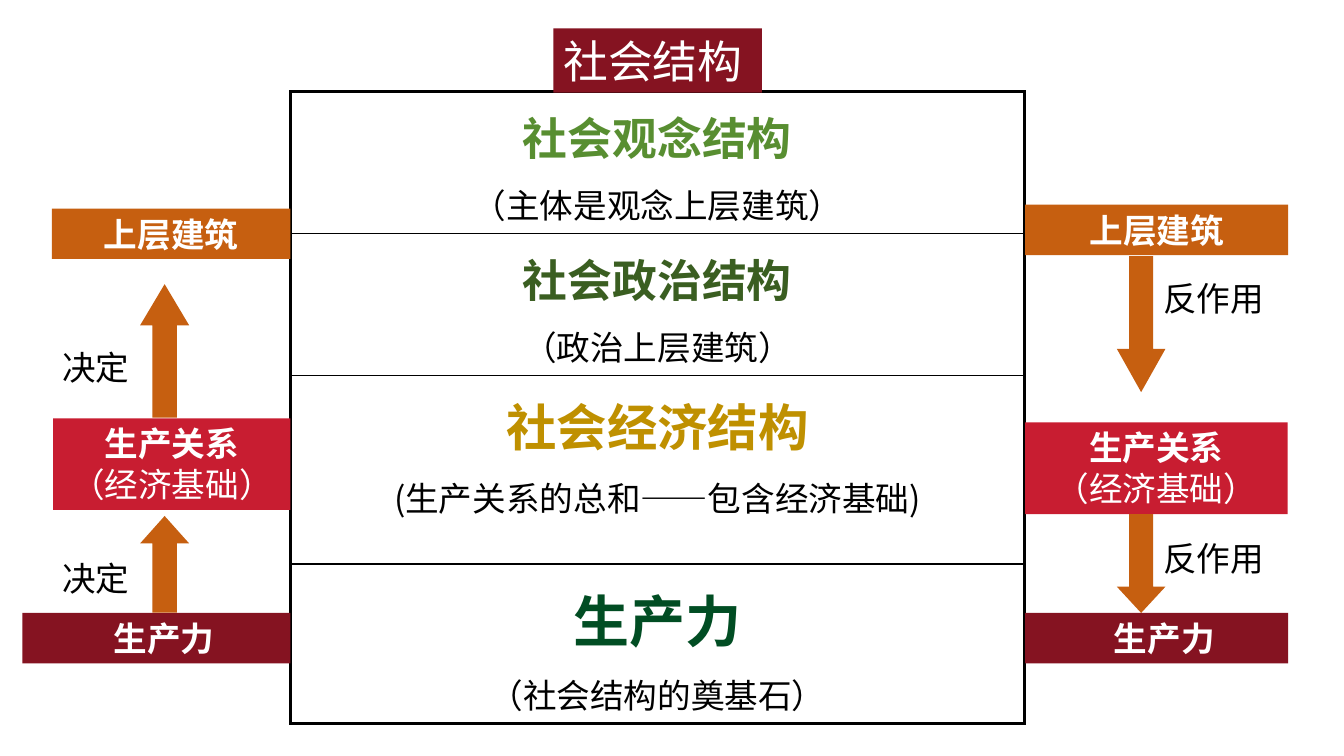
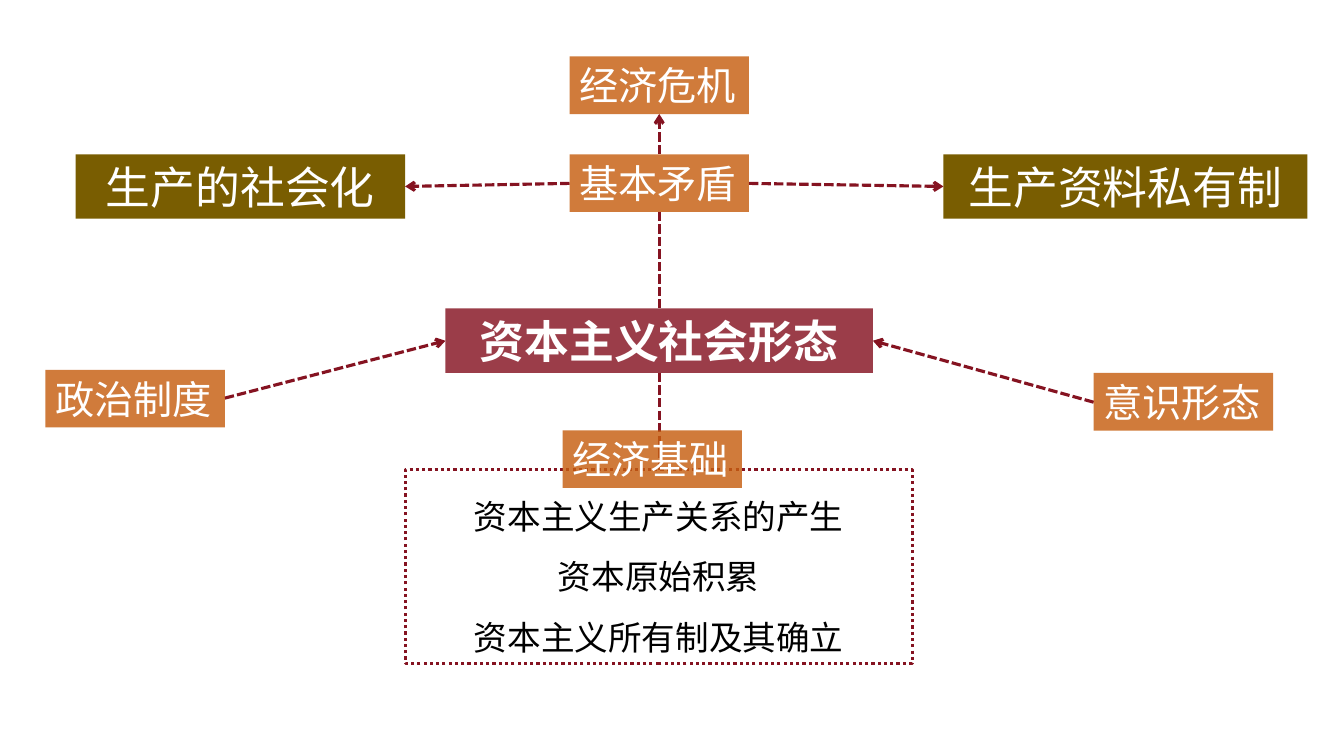
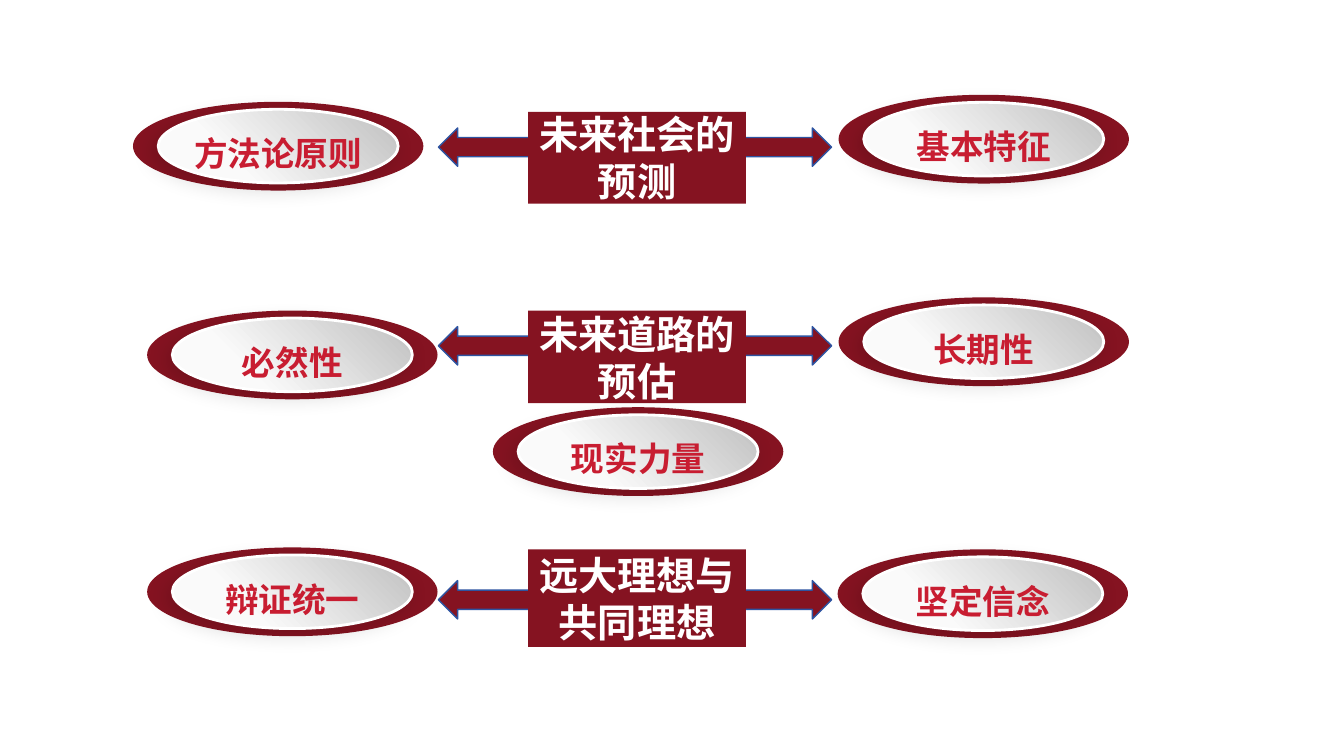
import pptx
import pptx.dml.color
import pptx.enum.dml
import pptx.enum.shapes
import pptx.enum.text
import pptx.oxml.ns
import pptx.util
from lxml import etree

Pt = pptx.util.Pt
qn = pptx.oxml.ns.qn
SHAPE = pptx.enum.shapes.MSO_SHAPE
ALIGN = pptx.enum.text.PP_ALIGN
ANCHOR = pptx.enum.text.MSO_ANCHOR
DASH = pptx.enum.dml.MSO_LINE

# Shared look
FONT = "Noto Sans CJK SC"
WINE, RED, ORANGE, OLIVE = "851321", "C81D31", "C65F10", "795D01"
WHITE, BLACK, BLUE = "FFFFFF", "000000", "2E54A1"
SOFT = 82  # opacity in percent of the translucent boxes


def rgb(value):
    return pptx.dml.color.RGBColor.from_string(value)


def set_values(target, values):
    for name, value in values.items():
        setattr(target, name, value)


def add_xml(parent, tag, **attributes):
    return etree.SubElement(parent, qn(tag), {k: str(v) for k, v in attributes.items()})


# Text
def write_paragraph(paragraph, text, size, color, bold=False, **layout):
    set_values(paragraph, layout)
    run = paragraph.add_run()
    run.text = text
    set_values(run.font, {"name": FONT, "size": Pt(size), "bold": bold})
    run.font.color.rgb = rgb(color)
    add_xml(run._r.get_or_add_rPr(), "a:ea", typeface=FONT)


def write_lines(frame, lines, size, color, bold=False, grow=True, **layout):
    """Write each line as a paragraph; bold applies to the first line only."""
    frame.word_wrap = True
    if grow:
        frame.auto_size = pptx.enum.text.MSO_AUTO_SIZE.SHAPE_TO_FIT_TEXT
    for index, line in enumerate(lines):
        paragraph = frame.add_paragraph() if index else frame.paragraphs[0]
        write_paragraph(paragraph, line, size, color, bold and index == 0, **layout)


def add_note(shapes, text, box, color=BLACK, **style):
    note = shapes.add_textbox(*map(Pt, box))
    write_lines(note.text_frame, [text], 24, color, **style)


# Shapes and lines
def add_figure(shapes, kind, box, fill=None, line=None, width=1, opacity=None):
    shape = shapes.add_shape(kind, *map(Pt, box))
    shape.shadow.inherit = False
    if fill:
        shape.fill.solid()
        shape.fill.fore_color.rgb = rgb(fill)
    else:
        shape.fill.background()
    if opacity:
        add_xml(shape._element.spPr.find(".//" + qn("a:srgbClr")), "a:alpha", val=opacity * 1000)
    if line:
        shape.line.color.rgb = rgb(line)
        shape.line.width = Pt(width)
    else:
        shape.line.fill.background()
    return shape


def add_label(slide, lines, box, fill, size=24, bold=False, align=ALIGN.CENTER,
              opacity=None, grow=True, indent=0):
    shape = add_figure(slide.shapes, SHAPE.RECTANGLE, box, fill, opacity=opacity)
    frame = shape.text_frame
    frame.vertical_anchor = ANCHOR.TOP if grow else ANCHOR.MIDDLE
    frame.margin_left = Pt(7.2 + indent)
    write_lines(frame, lines, size, WHITE, bold, grow, alignment=align)


def add_block_arrow(slide, kind, box, head):
    arrow = add_figure(slide.shapes, kind, box, ORANGE)
    arrow.adjustments[1] = head


def add_dashed_line(slide, points, arrow):
    line = slide.shapes.add_connector(
        pptx.enum.shapes.MSO_CONNECTOR.STRAIGHT, *map(Pt, points))
    line.line.color.rgb = rgb(WINE)
    set_values(line.line, {"width": Pt(2.25), "dash_style": DASH.SQUARE_DOT})
    if arrow:
        add_xml(line.line._get_or_add_ln(), "a:tailEnd", type="arrow")
    add_xml(line._element.spPr, "a:effectLst")


def add_badge(slide, text, left, top):
    """A dark ellipse with a shaded, raised ellipse and a caption."""
    shapes = slide.shapes.add_group_shape().shapes
    add_figure(shapes, SHAPE.OVAL, (left, top, 207.4, 63.4), WINE)
    inner = add_figure(shapes, SHAPE.OVAL, (left + 18, top + 5.4, 171.4, 52.6), WHITE, WHITE, 2)
    inner.fill.gradient()
    inner.fill.gradient_angle = 225
    for stop, (position, color) in zip(inner.fill.gradient_stops, ((0, "BFBFBF"), (0.7, "FAFAFA"))):
        stop.position = position
        stop.color.rgb = rgb(color)
    shadow = add_xml(inner._element.spPr.find(qn("a:effectLst")), "a:outerShdw",
                     blurRad=Pt(15), dist=Pt(5), dir=135 * 60000, algn="tr", rotWithShape=0)
    add_xml(add_xml(shadow, "a:srgbClr", val=BLACK), "a:alpha", val=15000)
    add_note(shapes, text, (left + 18, top + 18.7, 171.4, 36), RED,
             bold=True, alignment=ALIGN.CENTER)


# Table
def set_borders(cell, widths):
    properties = cell._tc.get_or_add_tcPr()
    for side, width in widths.items():
        line = add_xml(properties, "a:ln" + side, w=Pt(width))
        add_xml(add_xml(line, "a:solidFill"), "a:srgbClr", val=BLACK)


def add_layer_table(slide, layers, left, top, width):
    height = sum(layer[0] for layer in layers)
    table = slide.shapes.add_table(
        len(layers), 1, *map(Pt, (left, top, width, height))).table
    set_values(table, {"first_row": False, "horz_banding": False})
    last = len(layers) - 1
    for index, (row_height, heading, size, color, detail) in enumerate(layers):
        table.rows[index].height = Pt(row_height)
        cell = table.cell(index, 0)
        set_borders(cell, {"L": 2.25, "R": 2.25, "T": 1 if index else 2.25,
                           "B": 2.25 if index == last else 1})
        cell.fill.background()
        frame = cell.text_frame
        layout = {"alignment": ALIGN.CENTER, "line_spacing": 1.1}
        write_paragraph(frame.paragraphs[0], heading, size, color, True, **layout)
        write_paragraph(frame.add_paragraph(), detail, 24, BLACK, **layout)
        for paragraph in frame.paragraphs:
            before = add_xml(paragraph._p.get_or_add_pPr(), "a:spcBef")
            add_xml(before, "a:spcPct", val=20000)


# Slides
def build_structure(slide):
    table_left, table_right = 207.5, 732.2
    add_layer_table(slide, [
        (101.5, "社会观念结构", 32, "588E31", "（主体是观念上层建筑）"),
        (100.8, "社会政治结构", 32, "3A5E21", "（政治上层建筑）"),
        (134.6, "社会经济结构", 36, "BF9000", "(生产关系的总和——包含经济基础)"),
        (101.5, "生产力", 40, "014D23", "（社会结构的奠基石）"),
    ], table_left, 65.5, 524.2)

    # Side labels: lines, fill, height, indent, then top and width on each side
    for lines, fill, height, indent, left_side, right_side in (
        (["生产力"], WINE, 36, 10.8, (437.8, 191.5), (437.8, 188)),
        (["生产关系", "（经济基础）"], RED, 65.5, 0, (298.8, 169.5), (301.7, 187.5)),
        (["上层建筑"], ORANGE, 36, 0, (149, 170.5), (146.2, 188)),
    ):
        for is_left, (top, width) in ((True, left_side), (False, right_side)):
            left = table_left - width if is_left else table_right
            add_label(slide, lines, (left, top, width, height), fill, bold=True, indent=indent)

    # Block arrows with their notes
    for kind, left, top, width, height, head in (
        (SHAPE.UP_ARROW, 100.1, 368.6, 35, 69.1, 0.56),
        (SHAPE.UP_ARROW, 100.1, 203, 35, 95.4, 0.84),
        (SHAPE.DOWN_ARROW, 797.8, 367.2, 34.6, 70.6, 0.54),
        (SHAPE.DOWN_ARROW, 797.8, 182.9, 34.6, 97.2, 0.89),
    ):
        add_block_arrow(slide, kind, (left, top, width, height), head)
    for text, left, width, tops in (("决定", 37.4, 104.4, (395.3, 244.1)),
                                    ("反作用", 823.7, 96.5, (380.9, 195.1))):
        for top in tops:
            add_note(slide.shapes, text, (left, top, width, 36))

    add_label(slide, ["社会结构"], (395.3, 20.2, 149, 46), WINE, 32, align=ALIGN.LEFT)


def build_capitalism(slide):
    add_label(slide, ["资本主义社会形态"], (318.2, 220.3, 305.3, 46), WINE, 32, True, opacity=SOFT)
    outline = add_figure(slide.shapes, SHAPE.RECTANGLE, (289.4, 335.5, 362.2, 138.2),
                         line=WINE, width=2.25)
    outline.line.dash_style = DASH.ROUND_DOT
    write_lines(outline.text_frame,
                ["资本主义生产关系的产生", "资本原始积累", "资本主义所有制及其确立"],
                24, BLACK, alignment=ALIGN.CENTER, line_spacing=1.5)
    for text, left, width in (("生产的社会化", 54, 235.4), ("生产资料私有制", 673.9, 259.9)):
        add_label(slide, [text], (left, 110.2, width, 46), OLIVE, 32)

    # Links: start point, end point, arrowhead
    axis = 470.9
    for *points, arrow in (
        (axis, 110.2, axis, 81.4, True),
        (axis, 266.4, axis, 335.5, False),
        (axis, 151.2, axis, 220.3, False),
        (160.6, 284.4, 318.2, 243.4, True),
        (781.2, 287.3, 623.5, 243.4, True),
        (406.8, 131, 289.4, 133.2, True),
        (535, 131, 673.9, 133.2, True),
    ):
        add_dashed_line(slide, points, arrow)

    for text, left, top in (
        ("政治制度", 32.4, 264.2), ("基本矛盾", 406.8, 110.2), ("经济危机", 406.8, 40.3),
        ("意识形态", 781.2, 266.4), ("经济基础", 401.8, 307.4),
    ):
        add_label(slide, [text], (left, top, 128.2, 41.2), ORANGE, 28,
                  align=ALIGN.LEFT, opacity=SOFT)


def build_future(slide):
    # Topics on double arrows: text, box top, box height, arrow top
    for text, top, height, arrow_top in (
        ("未来社会的预测", 79.9, 65.5, 91.4),
        ("未来道路的预估", 221.8, 66.2, 233.3),
        ("远大理想与共同理想", 392.4, 69.8, 414.7),
    ):
        add_figure(slide.shapes, SHAPE.LEFT_RIGHT_ARROW, (313.2, arrow_top, 280.8, 27.4), WINE, BLUE)
        add_label(slide, [text], (377.3, top, 155.5, height), WINE, 28, True, grow=False)

    for badge in (
        ("方法论原则", 95, 72.7), ("基本特征", 599, 67.7), ("必然性", 105.1, 221.8),
        ("现实力量", 352.1, 290.9), ("长期性", 599, 212.4),
        ("辩证统一", 105.1, 391), ("坚定信念", 598.3, 392.4),
    ):
        add_badge(slide, *badge)


def main():
    presentation = pptx.Presentation()
    set_values(presentation, {"slide_width": Pt(960), "slide_height": Pt(540)})
    for build in (build_structure, build_capitalism, build_future):
        build(presentation.slides.add_slide(presentation.slide_layouts[6]))
    presentation.save("out.pptx")


if __name__ == "__main__":
    main()
